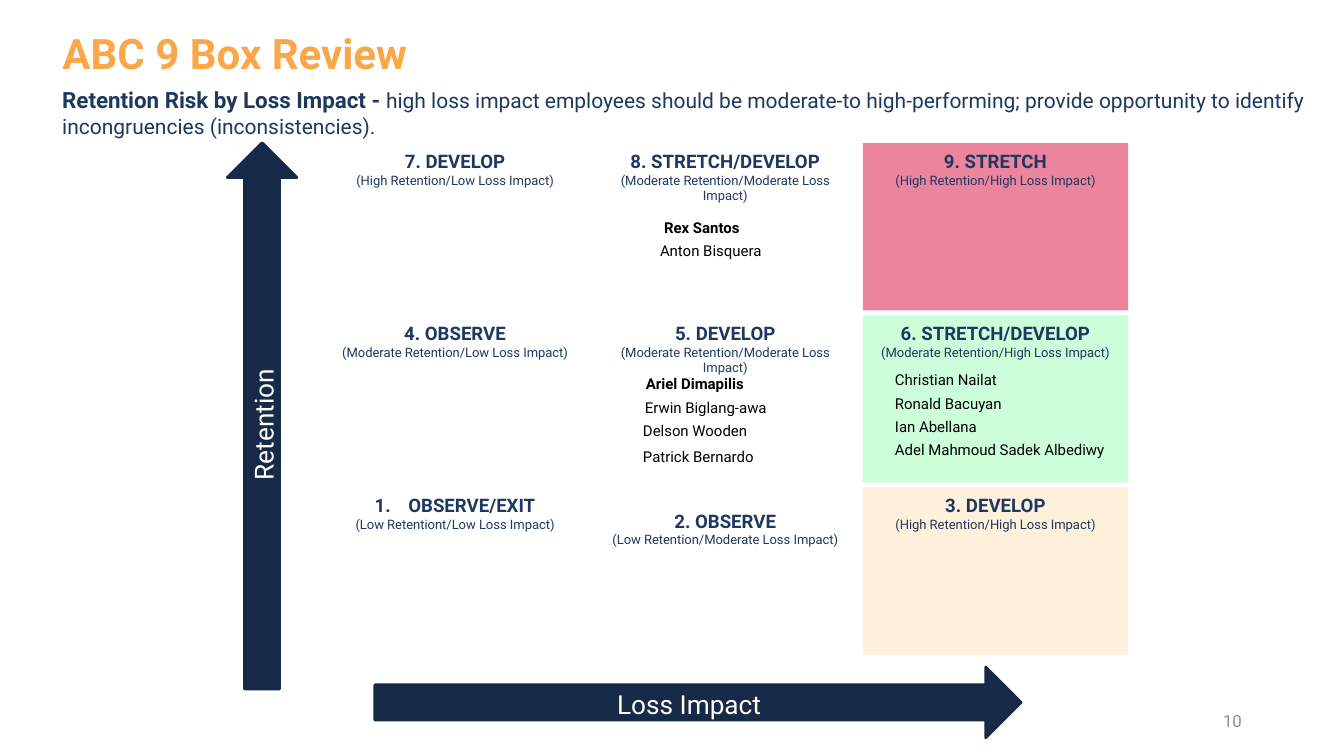
"""Build the nine box review slide of retention risk by loss impact."""
from lxml.etree import SubElement
from pptx import Presentation
from pptx.dml.color import RGBColor
from pptx.enum.shapes import MSO_SHAPE as SHAPE
from pptx.enum.text import MSO_ANCHOR as ANCHOR, MSO_AUTO_SIZE as AUTO_SIZE, PP_ALIGN as ALIGN
from pptx.oxml.ns import qn
from pptx.util import Pt

NAVY, BLACK, WHITE = "1E3860", "000000", "FFFFFF"
color = RGBColor.from_string


def write(paragraph, text, size, ink=NAVY, bold=False, align=ALIGN.LEFT):
    paragraph.alignment = align
    run = paragraph.add_run()
    run.text = text
    run.font.name = "Roboto"
    run.font.size = Pt(size)
    run.font.bold = bold
    run.font.color.rgb = color(ink)


def set_frame(shape, anchor=ANCHOR.TOP, side=7.2, edge=3.6, auto_size=AUTO_SIZE.NONE):
    frame = shape.text_frame
    frame.word_wrap = True
    frame.auto_size = auto_size
    frame.vertical_anchor = anchor
    frame.margin_left = frame.margin_right = Pt(side)
    frame.margin_top = frame.margin_bottom = Pt(edge)
    return frame


presentation = Presentation()
presentation.slide_width, presentation.slide_height = Pt(960), Pt(540)
slide = presentation.slides.add_slide(presentation.slide_layouts[5])
shapes = slide.shapes

title = shapes.title
title.left, title.top, title.width, title.height = Pt(37.4), Pt(15.8), Pt(834.5), Pt(43.9)
write(set_frame(title).paragraphs[0], "ABC 9 Box Review", 30, ink="FAA74A", bold=True)

subtitle = shapes.add_textbox(Pt(37.4), Pt(58.3), Pt(902.9), Pt(33.8))
paragraph = set_frame(subtitle).paragraphs[0]
write(paragraph, "Retention Risk by Loss Impact - ", 16, bold=True)
write(paragraph, "high loss impact employees should be moderate-to high-performing; "
      "provide opportunity to identify incongruencies (inconsistencies).", 15)

page_number = shapes.add_textbox(Pt(678.2), Pt(500.4), Pt(216), Pt(28.8))
write(set_frame(page_number, anchor=ANCHOR.MIDDLE).paragraphs[0], "10", 12,
      ink="8D919D", align=ALIGN.RIGHT)

axes = [
    ("Loss Impact", 267.8, 476.6, 461.5, 50.4, 0),
    ("Retention", -7.9, 272.2, 390.2, 49.7, 270),
]
for label, left, top, width, height, rotation in axes:
    arrow = shapes.add_shape(SHAPE.RIGHT_ARROW, Pt(left), Pt(top), Pt(width), Pt(height))
    arrow.rotation = rotation
    arrow.shadow.inherit = False
    arrow.fill.solid()
    arrow.fill.fore_color.rgb = color("172A48")
    arrow.line.color.rgb = color("162947")
    arrow.line.width = Pt(2)
    paragraph = set_frame(arrow, ANCHOR.MIDDLE, side=9.6, edge=4.8).paragraphs[0]
    paragraph.line_spacing = 1.07
    paragraph.space_after = Pt(10.7)
    write(paragraph, label, 18.7, ink=WHITE, align=ALIGN.CENTER)

boxes = [
    ("7. DEVELOP", "(High Retention/Low Loss Impact)", WHITE),
    ("8. STRETCH/DEVELOP", "(Moderate Retention/Moderate Loss Impact)", None),
    ("9. STRETCH", "(High Retention/High Loss Impact)", "EC849D"),
    ("4. OBSERVE", "(Moderate Retention/Low Loss Impact)", None),
    ("5. DEVELOP", "(Moderate Retention/Moderate Loss Impact)", None),
    ("6. STRETCH/DEVELOP", "(Moderate Retention/High Loss Impact)", "CCFFD9"),
    ("OBSERVE/EXIT", "(Low Retentiont/Low Loss Impact)", None),
    ("2. OBSERVE", "(Low Retention/Moderate Loss Impact)", None),
    ("3. DEVELOP", "(High Retention/High Loss Impact)", "FEF0DB"),
]
for index, (heading, detail, fill) in enumerate(boxes):
    row, column = divmod(index, 3)
    place = Pt(230.4 + 193 * column), Pt(102.2 + 123 * row), Pt(189.4), Pt(119.5)
    if fill:
        box = shapes.add_shape(SHAPE.RECTANGLE, *place)
        box.shadow.inherit = False
        box.fill.solid()
        box.fill.fore_color.rgb = color(fill)
        box.line.fill.background()
    else:
        box = shapes.add_textbox(*place)
    frame = set_frame(box, side=9.6, edge=4.8)
    if heading == "2. OBSERVE":
        frame.margin_top = Pt(15.8)
    write(frame.paragraphs[0], heading, 13.3, bold=True, align=ALIGN.CENTER)
    write(frame.add_paragraph(), detail, 9.3, align=ALIGN.CENTER)
    if heading == "OBSERVE/EXIT":
        properties = frame.paragraphs[0]._p.get_or_add_pPr()
        properties.set("marL", str(Pt(24)))
        properties.set("indent", str(-Pt(24)))
        SubElement(properties, qn("a:buFont"), typeface="Roboto")
        SubElement(properties, qn("a:buAutoNum"), type="arabicPeriod")

employees = [
    ("Rex Santos", 467.3, 152.6, True),
    ("Anton Bisquera", 464.4, 169.2, False),
    ("Ariel Dimapilis", 454.3, 264.2, True),
    ("Erwin Biglang-awa", 453.6, 280.8, False),
    ("Delson Wooden", 452.2, 297.4, False),
    ("Patrick Bernardo", 452.2, 316.1, False),
]
stretch_team = ["Christian Nailat", "Ronald Bacuyan", "Ian Abellana", "Adel Mahmoud Sadek Albediwy"]
employees += [(name, 632.2, 261.4 + 16.6 * index, False) for index, name in enumerate(stretch_team)]
for name, left, top, bold in employees:
    label = shapes.add_textbox(Pt(left), Pt(top), Pt(172), Pt(20.2))
    frame = set_frame(label, auto_size=AUTO_SIZE.SHAPE_TO_FIT_TEXT)
    write(frame.paragraphs[0], name, 10.7, ink=BLACK, bold=bold)

presentation.save("out.pptx")
